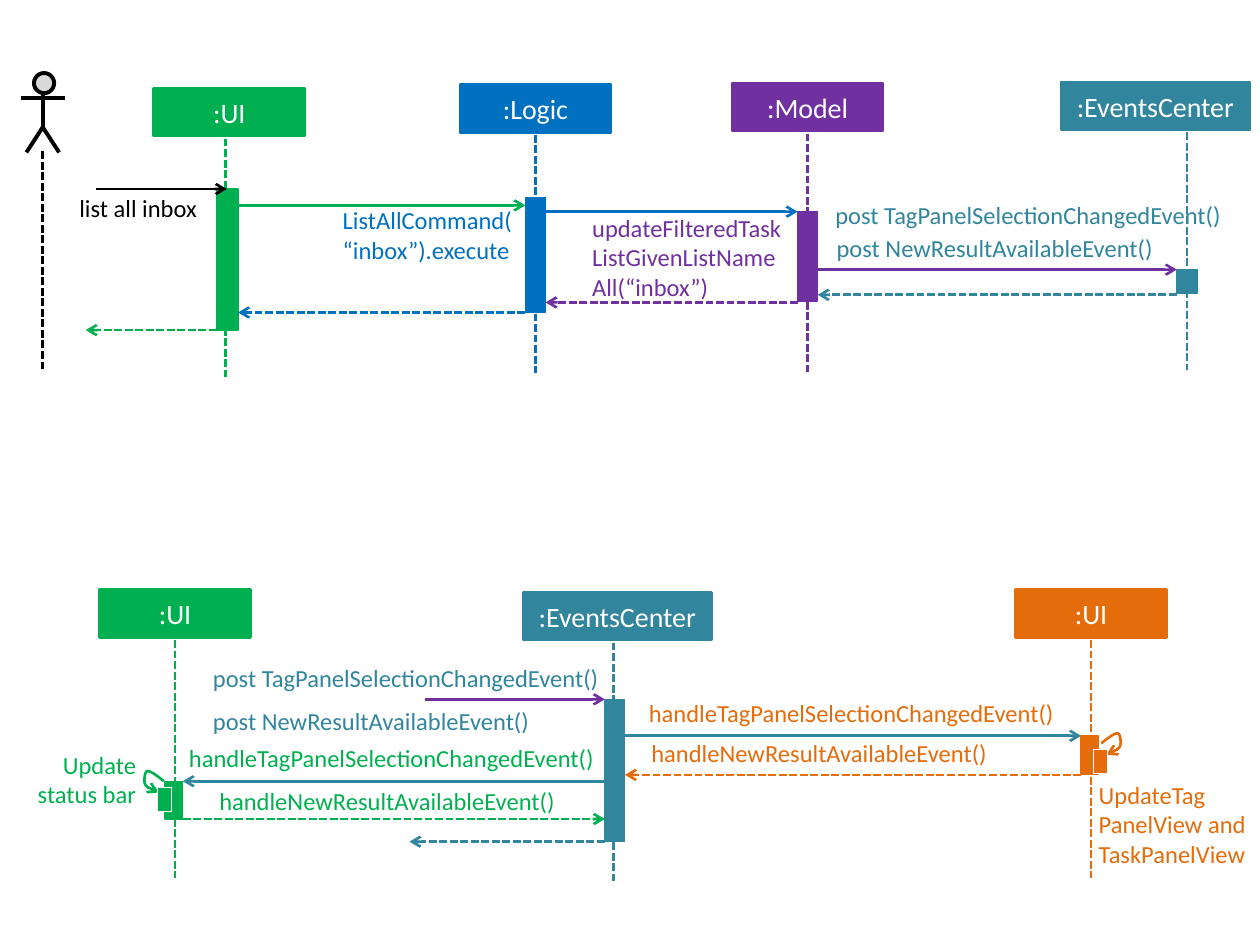
import pptx
import pptx.util
import pptx.dml.color
import pptx.enum.dml
import pptx.enum.shapes
import pptx.enum.text
import pptx.oxml
import pptx.oxml.ns

PRESET = pptx.enum.shapes.MSO_SHAPE
ALIGN = pptx.enum.text.PP_ALIGN
INCH = pptx.util.Inches

THEME = {
    "green": "00B050", "blue": "0070C0", "purple": "7030A0", "teal": "31859C",
    "orange": "E46C0A", "black": "000000", "white": "FFFFFF", "grey": "D9D9D9",
    "font": "Calibri", "name": 16, "label": 14,
    "thin": 0.75, "stroke": 1.5, "figure": 2.25,
}

BOX_HEIGHT = 0.38
LIFELINE = 1.89
PARTICIPANTS = {
    "caller": (":UI", "green", (1.22, 0.70, 1.2), 1.79, (1.72, 1.50, 0.17, 1.12)),
    "logic": (":Logic", "blue", (3.65, 0.67, 1.2), 4.25, (4.17, 1.57, 0.16, 0.91)),
    "model": (":Model", "purple", (5.81, 0.66, 1.2), 6.41, (6.33, 1.68, 0.16, 0.71)),
    "events": (":EventsCenter", "teal", (8.42, 0.65, 1.5), 9.42, (9.34, 2.14, 0.16, 0.19)),
    "panels": (":UI", "orange", (8.06, 4.68, 1.2), 8.66, (8.58, 5.84, 0.14, 0.31)),
    "center": (":EventsCenter", "teal", (4.15, 4.70, 1.5), 4.87, (4.80, 5.55, 0.16, 1.13)),
    "status": (":UI", "green", (0.79, 4.68, 1.2), 1.39, (1.31, 6.20, 0.14, 0.30)),
}

MESSAGES = [
    (0.76, 1.80, 1.50, "black", False),
    ("caller", "logic", 1.63, "green", False),
    ("logic", "model", 1.68, "blue", False),
    ("model", "events", 2.14, "purple", False),
    ("events", "model", 2.34, "teal", True),
    ("model", "logic", 2.40, "purple", True),
    ("logic", "caller", 2.48, "blue", True),
    ("caller", 0.68, 2.62, "green", True),
    (3.37, "center", 5.55, "purple", False),
    ("center", "panels", 5.84, "teal", False),
    ("panels", "center", 6.15, "orange", True),
    ("center", "status", 6.20, "teal", False),
    ("status", "center", 6.50, "green", True),
    ("center", 3.25, 6.68, "teal", True),
]

TAG_EVENT = "TagPanelSelectionChangedEvent()"
RESULT_EVENT = "NewResultAvailableEvent()"
LABELS = [
    (["list all inbox"], "black", (0.63, 1.53, 0.94), "LEFT"),
    (["ListAllCommand(“inbox”).execute"], "blue", (2.72, 1.63, 1.36), "LEFT"),
    (["updateFilteredTaskListGivenListNameAll(“inbox”)"], "purple", (4.70, 1.69, 1.56), "LEFT"),
    (["post " + TAG_EVENT], "teal", (6.63, 1.59, 3.27), "LEFT"),
    (["post " + RESULT_EVENT], "teal", (6.64, 1.85, 3.27), "LEFT"),
    (["post " + TAG_EVENT], "teal", (1.69, 5.26, 3.14), "LEFT"),
    (["post " + RESULT_EVENT], "teal", (1.69, 5.60, 3.14), "LEFT"),
    (["handle" + TAG_EVENT], "orange", (5.15, 5.54, 3.26), "LEFT"),
    (["handle" + RESULT_EVENT], "orange", (5.17, 5.86, 3.26), "LEFT"),
    (["handle" + TAG_EVENT], "green", (1.50, 5.90, 3.24), "LEFT"),
    (["handle" + RESULT_EVENT], "green", (1.74, 6.24, 2.69), "LEFT"),
    (["Update status bar"], "green", (0.21, 5.95, 0.87), "RIGHT"),
    (["UpdateTag", "PanelView and TaskPanelView"], "orange", (8.72, 6.19, 1.21), "LEFT"),
]

SELF_CALL = [(1.30, 6.20), (1.25, 6.16), (1.20, 6.12), (1.17, 6.12), (1.15, 6.12),
             (1.14, 6.19), (1.15, 6.22), (1.16, 6.25), (1.21, 6.27), (1.26, 6.29)]
NESTED_BAR = (1.25, 6.25, 0.11, 0.19)
MIRROR_SUM, MIRROR_RISE = 10.04, 0.3

deck = pptx.Presentation()
deck.slide_width, deck.slide_height = INCH(10), INCH(7.5)
slide = deck.slides.add_slide(deck.slide_layouts[6])


def apply(target, values):
    for field, value in values.items():
        setattr(target, field, value)


def rgb(color):
    return pptx.dml.color.RGBColor.from_string(THEME[color])


def draw_line(part, color, weight="stroke", dashed=False, arrow=False):
    part.line.color.rgb = rgb(color)
    part.line.width = pptx.util.Pt(THEME[weight])
    if dashed:
        part.line.dash_style = pptx.enum.dml.MSO_LINE.SQUARE_DOT
    if arrow:
        outline = part.element.spPr.find(pptx.oxml.ns.qn("a:ln"))
        outline.append(pptx.oxml.parse_xml(
            f'<a:tailEnd {pptx.oxml.ns.nsdecls("a")} type="arrow"/>'))


def connect(start, end, color, **style):
    link = slide.shapes.add_connector(
        pptx.enum.shapes.MSO_CONNECTOR.STRAIGHT, *map(INCH, start + end))
    draw_line(link, color, **style)
    link.element.spPr.append(pptx.oxml.parse_xml(
        f'<a:effectLst {pptx.oxml.ns.nsdecls("a")}/>'))


def block(place, fill, edge, weight, preset=PRESET.RECTANGLE):
    part = slide.shapes.add_shape(preset, *map(INCH, place))
    part.shadow.inherit = False
    part.fill.solid()
    part.fill.fore_color.rgb = rgb(fill)
    draw_line(part, edge, weight)
    return part


def outline(points, color, **style):
    start, *rest = [tuple(map(INCH, point)) for point in points]
    builder = slide.shapes.build_freeform(*start, scale=1.0)
    builder.add_line_segments(rest, close=False)
    path_shape = builder.convert_to_shape()
    path_shape.shadow.inherit = False
    path_shape.fill.background()
    draw_line(path_shape, color, **style)


def write(frame, lines, color, size, align):
    for number, line in enumerate(lines):
        paragraph = frame.paragraphs[0] if number == 0 else frame.add_paragraph()
        paragraph.alignment = align
        run = paragraph.add_run()
        run.text = line
        apply(run.font, {"name": THEME["font"], "size": pptx.util.Pt(THEME[size])})
        run.font.color.rgb = rgb(color)


def bezier(points, steps=8):
    curve = [points[0]]
    for first in range(0, len(points) - 1, 3):
        a, b, c, d = points[first:first + 4]
        for step in range(1, steps + 1):
            t = step / steps
            weights = ((1 - t) ** 3, 3 * t * (1 - t) ** 2, 3 * t * t * (1 - t), t ** 3)
            curve.append(tuple(sum(w * p[axis] for w, p in zip(weights, (a, b, c, d)))
                               for axis in (0, 1)))
    return curve


def bar_span(end):
    if isinstance(end, str):
        left, _, width, _ = PARTICIPANTS[end][4]
        return left, left + width
    return end, end


block((0.27, 0.58, 0.16, 0.16), "grey", "black", "figure", PRESET.FLOWCHART_CONNECTOR)
connect((0.34, 0.74), (0.34, 1.02), "black", weight="figure")
connect((0.17, 0.78), (0.52, 0.78), "black", weight="figure")
outline([(0.21, 1.21), (0.34, 1.01), (0.47, 1.21)], "black", weight="figure")
connect((0.34, 1.20), (0.34, 2.95), "black", dashed=True)

for name, color, (left, top, width), axis, bar in PARTICIPANTS.values():
    header = block((left, top, width, BOX_HEIGHT), color, color, "stroke")
    apply(header.text_frame, {
        "word_wrap": True, "vertical_anchor": pptx.enum.text.MSO_ANCHOR.MIDDLE})
    write(header.text_frame, [name], "white", "name", ALIGN.CENTER)
    lifeline_top = top + BOX_HEIGHT + 0.02
    connect((axis, lifeline_top), (axis, lifeline_top + LIFELINE), color, dashed=True)
    block(bar, color, color, "thin")

for sender, receiver, y, color, reply in MESSAGES:
    source, target = bar_span(sender), bar_span(receiver)
    ends = (source[1], target[0]) if source[0] < target[0] else (source[0], target[1])
    connect((ends[0], y), (ends[1], y), color, dashed=reply, arrow=True)

left, top, width, height = NESTED_BAR
mirrored_bar = (MIRROR_SUM - left - width, top - MIRROR_RISE, width, height)
mirrored_call = [(MIRROR_SUM - x, y - MIRROR_RISE) for x, y in SELF_CALL]
for call, bar, color in ((SELF_CALL, NESTED_BAR, "green"),
                         (mirrored_call, mirrored_bar, "orange")):
    outline(bezier(call), color, arrow=True)
    block(bar, color, "white", "thin")

for lines, color, (left, top, width), align in LABELS:
    label = slide.shapes.add_textbox(*map(INCH, (left, top, width, 0.24)))
    apply(label.text_frame, {
        "word_wrap": True, "margin_left": 0, "margin_right": 0,
        "margin_top": 0, "margin_bottom": 0,
        "auto_size": pptx.enum.text.MSO_AUTO_SIZE.SHAPE_TO_FIT_TEXT})
    write(label.text_frame, lines, color, "label", ALIGN[align])

deck.save("out.pptx")
